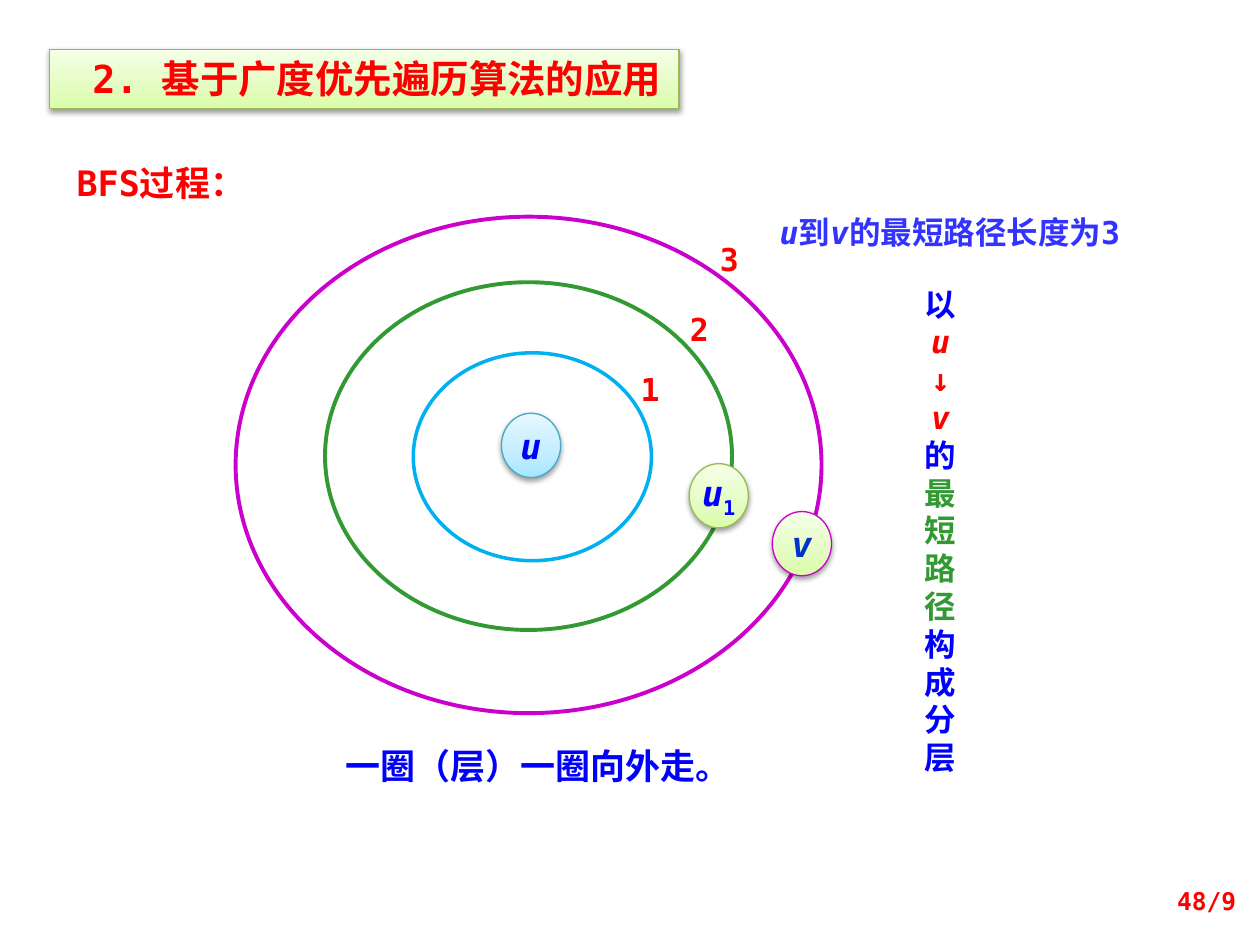
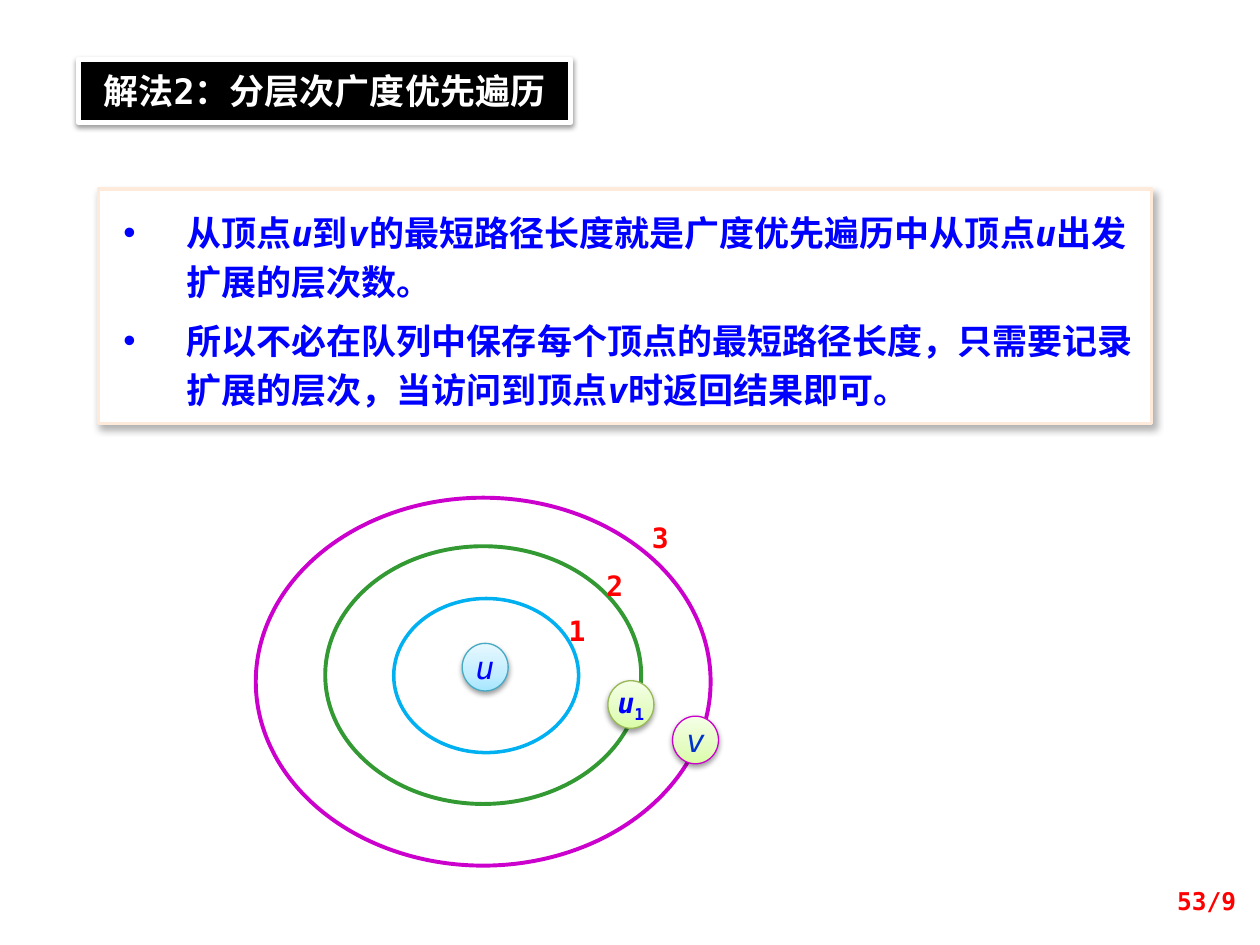
from copy import deepcopy

from lxml.etree import SubElement
from pptx import Presentation
from pptx.dml.color import RGBColor
from pptx.enum.shapes import MSO_SHAPE
from pptx.enum.text import MSO_ANCHOR, MSO_AUTO_SIZE, PP_ALIGN
from pptx.oxml.ns import qn
from pptx.util import Inches, Pt

# Shared style
LATIN_FONT = "DejaVu Sans Mono"
CJK_FONT = "Noto Sans CJK SC"
RED, BLUE, NAVY, VIOLET = "FF0000", "0000FF", "0033CC", "3333FF"
GREEN, MAGENTA, SKY = "339933", "CC00CC", "00B0F0"
WHITE, BLACK, PEACH = "FFFFFF", "000000", "FDEADA"
LIME_EDGE, TEAL_EDGE = "98B955", "46AAC5"
LIME_STOPS = ("DAFDA7", "E4FCC2", "F5FFE7")
AQUA_STOPS = ("A7E6FF", "C1EDFF", "E7F8FF")
SOFT_SHADOW = (38, 3.1, 1.6, 90)    # opacity %, blur pt, distance pt, degrees
PANEL_SHADOW = (30, 4.5, 2.6, 53)
TITLE_LAYOUT, LIST_LAYOUT = 5, 1

# Ring diagram, measured in a box of this size and scaled to the box given
DIAGRAM_SIZE = (4.65, 3.94)
RINGS = [  # left, top, width, height, line colour, line width, fill
    (0, 0, 4.65, 3.94, MAGENTA, 2.25, None),
    (0.71, 0.52, 3.23, 2.76, GREEN, 2.25, None),
    (1.41, 1.08, 1.89, 1.65, SKY, 2, WHITE),
]
NODE_SIZE = (0.47, 0.51)
NODES = [  # left, top, letter, subscript, text colour, gradient, edge
    (2.11, 1.56, "u", "", BLUE, AQUA_STOPS, TEAL_EDGE),
    (3.6, 1.96, "u", "1", BLUE, LIME_STOPS, LIME_EDGE),
    (4.26, 2.34, "v", "", NAVY, LIME_STOPS, MAGENTA),
]


def rgb(hex_colour):
    return RGBColor.from_string(hex_colour)


def place(shape, box):
    shape.left, shape.top, shape.width, shape.height = map(Inches, box)


def paint(shape, fill, edge, edge_width, shadow=None):
    """Fill with a colour, gradient stops or nothing, then set edge and shadow."""
    if fill is None:
        shape.fill.background()
    elif isinstance(fill, tuple):
        shape.fill.gradient()
        shape.fill.gradient_angle = 90
        stop_list = shape._element.spPr.find(".//" + qn("a:gsLst"))
        stop_list.append(deepcopy(stop_list[-1]))
        for stop, colour, position in zip(shape.fill.gradient_stops, fill, (0, 0.35, 1)):
            stop.color.rgb = rgb(colour)
            stop.position = position
    else:
        shape.fill.solid()
        shape.fill.fore_color.rgb = rgb(fill)
    shape.line.color.rgb = rgb(edge)
    shape.line.width = Pt(edge_width)
    shape.shadow.inherit = False
    if shadow:
        opacity, blur, distance, degrees = shadow
        effects = shape._element.spPr.find(qn("a:effectLst"))
        outer = SubElement(effects, qn("a:outerShdw"), blurRad=str(Pt(blur)),
                           dist=str(Pt(distance)), dir=str(degrees * 60000),
                           rotWithShape="0")
        colour = SubElement(outer, qn("a:srgbClr"), val=BLACK)
        SubElement(colour, qn("a:alpha"), val=str(opacity * 1000))


def set_frame(shape, margins=(0.1, 0.05, 0.1, 0.05), anchor=MSO_ANCHOR.TOP, wrap=True):
    frame = shape.text_frame
    frame.auto_size = MSO_AUTO_SIZE.NONE
    frame.word_wrap = wrap
    frame.vertical_anchor = anchor
    (frame.margin_left, frame.margin_top,
     frame.margin_right, frame.margin_bottom) = map(Inches, margins)
    return frame


def add_run(paragraph, text, size, colour, bold=True, italic=False, subscript=False):
    run = paragraph.add_run()
    run.text = text
    font = run.font
    font.size, font.bold, font.italic = Pt(size), bold, italic
    font.color.rgb = rgb(colour)
    font.name = LATIN_FONT
    properties = run._r.get_or_add_rPr()
    SubElement(properties, qn("a:ea"), typeface=CJK_FONT)
    if subscript:
        properties.set("baseline", "-25000")


def add_mixed(paragraph, parts, size, colour):
    """Add text parts in turn, with the vertex names u and v in italics."""
    for part in parts:
        add_run(paragraph, part, size, colour, italic=part in ("u", "v"))


def add_label(slide, box, parts, size, colour, align=PP_ALIGN.LEFT,
              anchor=MSO_ANCHOR.TOP):
    label = slide.shapes.add_textbox(*map(Inches, box))
    paragraph = set_frame(label, anchor=anchor).paragraphs[0]
    paragraph.alignment = align
    add_mixed(paragraph, parts, size, colour)


def add_title(slide, box, text, size, colour, margins, fill, edge, edge_width):
    title = slide.shapes.title
    place(title, box)
    paint(title, fill, edge, edge_width, SOFT_SHADOW)
    paragraph = set_frame(title, margins).paragraphs[0]
    paragraph.alignment = PP_ALIGN.CENTER
    add_run(paragraph, text, size, colour)


def add_page_number(slide, text):
    add_label(slide, (7.58, 6.95, 2.33, 0.4), [text], 14, RED,
              PP_ALIGN.RIGHT, MSO_ANCHOR.MIDDLE)


def add_ring_diagram(slide, box, level_centres, level_size, node_sizes, bold_ends):
    left, top, width, height = box
    x_scale, y_scale = width / DIAGRAM_SIZE[0], height / DIAGRAM_SIZE[1]

    def add_ellipse(x, y, w, h):
        return slide.shapes.add_shape(
            MSO_SHAPE.OVAL, Inches(left + x * x_scale), Inches(top + y * y_scale),
            Inches(w * x_scale), Inches(h * y_scale))

    # Layers, from the outermost in
    for x, y, w, h, edge, edge_width, fill in RINGS:
        paint(add_ellipse(x, y, w, h), fill, edge, edge_width)

    # Vertices
    for (x, y, letter, subscript, colour, stops, edge), size in zip(NODES, node_sizes):
        node = add_ellipse(x, y, *NODE_SIZE)
        paint(node, stops, edge, 0.75, SOFT_SHADOW)
        frame = set_frame(node, anchor=MSO_ANCHOR.MIDDLE, wrap=False)
        paragraph = frame.paragraphs[0]
        paragraph.alignment = PP_ALIGN.CENTER
        add_run(paragraph, letter, size, colour, bold_ends or bool(subscript), True)
        if subscript:
            add_run(paragraph, subscript, size, colour, subscript=True)

    # Layer numbers
    label_w, label_h = 0.46, 0.4
    for level, (x, y) in enumerate(level_centres, start=1):
        add_label(slide, (left + x - label_w / 2, top + y - label_h / 2, label_w, label_h),
                  [str(level)], level_size, RED, PP_ALIGN.CENTER)


def add_layer_column(slide, box):
    column = slide.shapes.add_textbox(*map(Inches, box))
    frame = set_frame(column)
    lines = [
        [("以", BLUE), ("u", RED)],
        [("↓", RED)],
        [("v", RED), ("的", BLUE), ("最短路径", GREEN), ("构成分层", BLUE)],
    ]
    for index, line in enumerate(lines):
        paragraph = frame.add_paragraph() if index else frame.paragraphs[0]
        paragraph.alignment = PP_ALIGN.CENTER
        for text, colour in line:
            add_mixed(paragraph, [text], 18, colour)


def add_points(slide, box, points):
    panel = slide.placeholders[1]
    place(panel, box)
    paint(panel, WHITE, PEACH, 2, PANEL_SHADOW)
    frame = set_frame(panel, (0.2, 0.12, 0.1, 0.12))
    for index, parts in enumerate(points):
        paragraph = frame.add_paragraph() if index else frame.paragraphs[0]
        properties = paragraph._p.get_or_add_pPr()
        properties.set("marL", str(Inches(0.5)))
        properties.set("indent", str(Inches(-0.5)))
        SubElement(properties, qn("a:buChar"), char="•")
        paragraph.line_spacing = Pt(28)
        paragraph.space_before = Pt(6 if index else 0)
        add_mixed(paragraph, parts, 20, BLUE)


def build_process_slide(deck):
    slide = deck.slides.add_slide(deck.slide_layouts[TITLE_LAYOUT])
    add_title(slide, (0.39, 0.39, 5, 0.47), "2. 基于广度优先遍历算法的应用", 22, RED,
              (0.25, 0.05, 0.05, 0.05), LIME_STOPS, LIME_EDGE, 0.75)
    add_label(slide, (0.51, 1.23, 2.05, 0.44), ["BFS过程："], 20, RED)
    add_ring_diagram(slide, (1.87, 1.72, 4.65, 3.94),
                     [(3.29, 1.37), (3.68, 0.89), (3.92, 0.34)], 18,
                     (20, 20, 20), bold_ends=True)
    add_label(slide, (2.58, 5.86, 3.38, 0.44), ["一圈（层）一圈向外走。"], 20, BLUE,
              PP_ALIGN.CENTER)
    add_label(slide, (6.09, 1.64, 3.36, 0.4), ["u", "到", "v", "的最短路径长度为3"],
              18, VIOLET)
    add_layer_column(slide, (7.19, 2.21, 0.55, 4.04))
    add_page_number(slide, "48/9")


def build_solution_slide(deck):
    slide = deck.slides.add_slide(deck.slide_layouts[LIST_LAYOUT])
    add_title(slide, (0.62, 0.47, 3.91, 0.5), "解法2：分层次广度优先遍历", 20, WHITE,
              (0.1, 0.08, 0.1, 0.08), BLACK, WHITE, 3)
    add_points(slide, (0.78, 1.5, 8.36, 1.86), [
        ["从顶点", "u", "到", "v", "的最短路径长度就是广度优先遍历中从顶点", "u",
         "出发扩展的层次数。"],
        ["所以不必在队列中保存每个顶点的最短路径长度，只需要记录扩展的层次，当访问到顶点",
         "v", "时返回结果即可。"],
    ])
    add_ring_diagram(slide, (2.03, 3.95, 3.61, 2.92),
                     [(2.55, 1.07), (2.85, 0.71), (3.21, 0.33)], 16,
                     (18, 16, 18), bold_ends=False)
    add_page_number(slide, "53/9")


def main():
    deck = Presentation()
    deck.slide_width, deck.slide_height = Inches(10), Inches(7.5)
    build_process_slide(deck)
    build_solution_slide(deck)
    deck.save("out.pptx")


if __name__ == "__main__":
    main()
